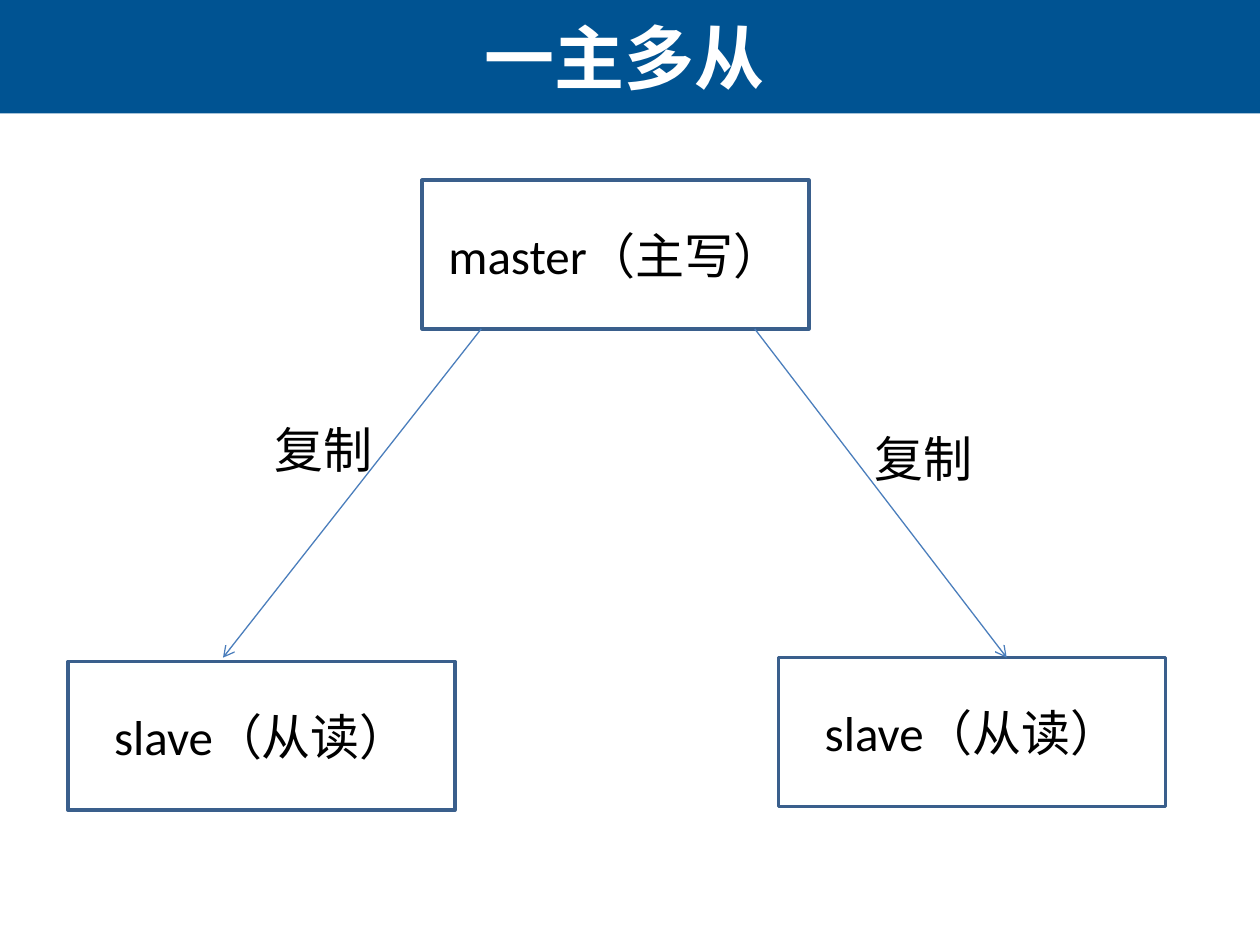
import pptx
import pptx.util
import pptx.dml.color
import pptx.enum.shapes
import pptx.enum.text
import pptx.oxml
import pptx.oxml.ns
from dataclasses import dataclass

Inches = pptx.util.Inches
Pt = pptx.util.Pt
ALIGN = pptx.enum.text.PP_ALIGN
MIDDLE = pptx.enum.text.MSO_ANCHOR.MIDDLE
RECTANGLE = pptx.enum.shapes.MSO_SHAPE.RECTANGLE


@dataclass(frozen=True)
class Theme:
    paper: str = "FFFFFF"
    banner: str = "005392"
    border: str = "3A5F8C"
    arrow: str = "4B7EBC"
    ink: str = "000000"
    title_font: str = "Arial"
    body_font: str = "Calibri"
    title_size: int = 40
    body_size: int = 28


class Diagram:
    def __init__(self, page, theme):
        self.page = page
        self.theme = theme
        page.background.fill.solid()
        page.background.fill.fore_color.rgb = self.color(theme.paper)

    def color(self, value):
        return pptx.dml.color.RGBColor.from_string(value)

    def set_text(self, shape, text, size, font, color, align, bold=False):
        shape.text_frame.text = text
        para = shape.text_frame.paragraphs[0]
        para.alignment = align
        span = para.runs[0]
        span.font.size = Pt(size)
        span.font.name = font
        span.font.bold = bold
        span.font.color.rgb = self.color(color)

    def set_body(self, shape, text, align):
        self.set_text(shape, text, self.theme.body_size, self.theme.body_font,
                      self.theme.ink, align)

    def rectangle(self, left, top, width, height):
        box = self.page.shapes.add_shape(
            RECTANGLE, Inches(left), Inches(top), Inches(width), Inches(height))
        box.shadow.inherit = False
        return box

    def banner(self, width, height):
        band = self.rectangle(0, 0, width, height)
        band.fill.solid()
        band.fill.fore_color.rgb = self.color(self.theme.banner)
        band.line.fill.background()
        # Keep the band behind the title
        self.page.shapes.title.element.addprevious(band.element)

    def title(self, text, left, top, width, height):
        title = self.page.shapes.title
        title.left, title.top = Inches(left), Inches(top)
        title.width, title.height = Inches(width), Inches(height)
        self.set_text(title, text, self.theme.title_size, self.theme.title_font,
                      self.theme.paper, ALIGN.CENTER, bold=True)
        title.text_frame.vertical_anchor = MIDDLE

    def node(self, text, left, top, width, height):
        box = self.rectangle(left, top, width, height)
        box.fill.background()
        box.line.color.rgb = self.color(self.theme.border)
        box.line.width = Pt(2)
        self.set_body(box, text, ALIGN.CENTER)
        box.text_frame.vertical_anchor = MIDDLE

    def arrow(self, start, end):
        connector = self.page.shapes.add_connector(
            pptx.enum.shapes.MSO_CONNECTOR.STRAIGHT,
            *(Inches(value) for value in start + end))
        connector.line.color.rgb = self.color(self.theme.arrow)
        connector.line.width = Pt(0.75)
        properties = connector.element.spPr
        namespace = pptx.oxml.ns.nsdecls("a")
        outline = properties.find(pptx.oxml.ns.qn("a:ln"))
        outline.append(pptx.oxml.parse_xml(
            f'<a:tailEnd {namespace} type="arrow"/>'))
        properties.append(pptx.oxml.parse_xml(f"<a:effectLst {namespace}/>"))

    def label(self, text, left, top, width, height):
        box = self.page.shapes.add_textbox(
            Inches(left), Inches(top), Inches(width), Inches(height))
        box.text_frame.word_wrap = True
        box.text_frame.auto_size = pptx.enum.text.MSO_AUTO_SIZE.SHAPE_TO_FIT_TEXT
        self.set_body(box, text, ALIGN.LEFT)


deck = pptx.Presentation()
deck.slide_width, deck.slide_height = Inches(10), Inches(7.5)
diagram = Diagram(deck.slides.add_slide(deck.slide_layouts[5]), Theme())

# Title band
BANNER_HEIGHT = 0.9
diagram.banner(10, BANNER_HEIGHT)
diagram.title("一主多从", 0.02, 0, 9.87, BANNER_HEIGHT)

# Servers
NODE_WIDTH, NODE_HEIGHT = 3.07, 1.18
MASTER_TOP = 1.43
for text, left, top in [("slave（从读）", 0.54, 5.25),
                        ("slave（从读）", 6.18, 5.22),
                        ("master（主写）", 3.35, MASTER_TOP)]:
    diagram.node(text, left, top, NODE_WIDTH, NODE_HEIGHT)

# Replication from the master down to each slave
MASTER_BOTTOM = MASTER_TOP + NODE_HEIGHT
for start_x, end_x in [(3.82, 1.77), (5.99, 7.99)]:
    diagram.arrow((start_x, MASTER_BOTTOM), (end_x, 5.22))
for left, top in [(2.08, 3.28), (6.84, 3.35)]:
    diagram.label("复制", left, top, 1.86, 0.57)

deck.save("out.pptx")
